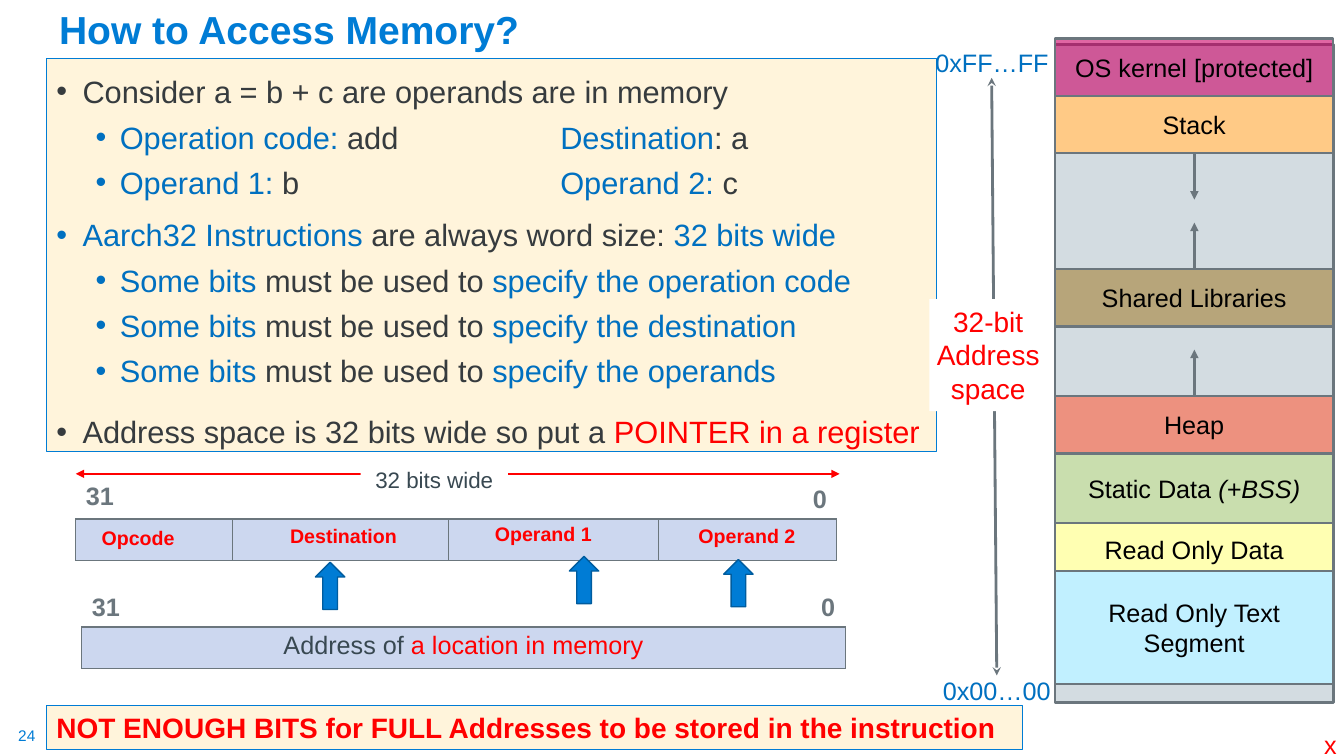
from lxml import etree
from pptx import Presentation
from pptx.dml.color import RGBColor
from pptx.enum.shapes import MSO_CONNECTOR, MSO_SHAPE
from pptx.enum.text import MSO_ANCHOR, MSO_AUTO_SIZE, PP_ALIGN
from pptx.oxml.ns import qn
from pptx.util import Cm, Pt

LEFT, CENTER, RIGHT = PP_ALIGN.LEFT, PP_ALIGN.CENTER, PP_ALIGN.RIGHT
TOP, MIDDLE, BOTTOM = MSO_ANCHOR.TOP, MSO_ANCHOR.MIDDLE, MSO_ANCHOR.BOTTOM
RECTANGLE, UP_ARROW = MSO_SHAPE.RECTANGLE, MSO_SHAPE.UP_ARROW
STRAIGHT, NO_AUTOFIT = MSO_CONNECTOR.STRAIGHT, MSO_AUTO_SIZE.NONE

BLACK = RGBColor(0x00, 0x00, 0x00)
WHITE = RGBColor(0xFF, 0xFF, 0xFF)
RED = RGBColor(0xFF, 0x00, 0x00)
BLUE = RGBColor(0x00, 0x7C, 0xD5)
DARK_BLUE = RGBColor(0x00, 0x5C, 0x9E)
LINK_BLUE = RGBColor(0x00, 0x70, 0xC0)
GREY = RGBColor(0x6B, 0x76, 0x7D)
SLATE = RGBColor(0x38, 0x48, 0x51)
INK = RGBColor(0x36, 0x3B, 0x3E)
CREAM = RGBColor(0xFF, 0xF4, 0xDB)
FIELD_BLUE = RGBColor(0xCC, 0xD7, 0xEF)
FREE_MEMORY = RGBColor(0xD3, 0xDC, 0xE1)
KERNEL_PINK = RGBColor(0xCC, 0x00, 0x66)
STACK_ORANGE = RGBColor(0xFF, 0xCA, 0x86)
LIBRARY_BROWN = RGBColor(0xB7, 0xA5, 0x7A)
HEAP_RED = RGBColor(0xED, 0x91, 0x7F)
STATIC_GREEN = RGBColor(0xC9, 0xDE, 0xAE)
DATA_YELLOW = RGBColor(0xFF, 0xFF, 0xB2)
TEXT_CYAN = RGBColor(0xC1, 0xF0, 0xFF)


def write(para, text, *, size=18, color=BLACK, bold=False, italic=False, align=None):
    """Append formatted text to a paragraph."""
    span = para.add_run()
    span.text = text
    span.font.name = "Arial"
    span.font.size = Pt(size)
    span.font.color.rgb = color
    span.font.bold = bold
    span.font.italic = italic
    if align is not None:
        para.alignment = align


class Page:
    def __init__(self, deck):
        self.page = deck.slides.add_slide(deck.slide_layouts[1])
        self.shapes = self.page.shapes

    def frame(self, box, anchor=TOP, inset=(0.25, 0.13), wrap=True):
        frame = box.text_frame
        frame.auto_size = NO_AUTOFIT
        frame.word_wrap = wrap
        frame.vertical_anchor = anchor
        frame.margin_left = frame.margin_right = Cm(inset[0])
        frame.margin_top = frame.margin_bottom = Cm(inset[1])
        return frame

    def paint(self, box, fill, line=None, width=1.5):
        box.fill.solid()
        box.fill.fore_color.rgb = fill
        if line is None:
            box.line.fill.background()
        else:
            box.line.color.rgb = line
            box.line.width = Pt(width)

    def place(self, box, left, top, width, height):
        box.left, box.top, box.width, box.height = map(Cm, (left, top, width, height))

    def title(self, text, *area):
        box = self.shapes.title
        self.place(box, *area)
        para = self.frame(box, BOTTOM).paragraphs[0]
        para.line_spacing = 0.9
        write(para, text, size=27.9, color=BLUE, bold=True, align=LEFT)

    def body(self, items, *area):
        box = self.page.placeholders[1]
        self.place(box, *area)
        self.paint(box, CREAM, BLUE, 0.75)
        frame = self.frame(box, inset=(0.25, 0.18))
        for index, (level, spacing, before, spans) in enumerate(items):
            para = frame.add_paragraph() if index else frame.paragraphs[0]
            para.level = level
            para.line_spacing = spacing
            para.space_before = Pt(before)
            para.space_after = Pt(0)
            props = para._p.get_or_add_pPr()
            indent, hanging = ((0.66, 0.66), (1.6, 0.61))[level]
            props.set("marL", str(Cm(indent)))
            props.set("indent", str(-Cm(hanging)))
            props.set("defTabSz", str(Cm(2.54)))
            etree.SubElement(props, qn("a:buFont"), typeface="Arial")
            etree.SubElement(props, qn("a:buChar"), char="•")
            for text, color in spans:
                write(para, text, size=22, color=color, align=LEFT)

    def label(self, text, *area, inset=(0.25, 0.13), wrap=True, **style):
        box = self.shapes.add_textbox(*map(Cm, area))
        write(self.frame(box, inset=inset, wrap=wrap).paragraphs[0], text, **style)

    def block(self, spans, *area, fill, line=None, width=1.5, anchor=MIDDLE,
              inset=(0.25, 0.13), shape=RECTANGLE, align=CENTER, **style):
        """Draw a filled shape holding (text, italic) spans."""
        box = self.shapes.add_shape(shape, *map(Cm, area))
        box.shadow.inherit = False
        self.paint(box, fill, line, width)
        para = self.frame(box, anchor, inset).paragraphs[0]
        for text, italic in spans:
            write(para, text, italic=italic, align=align, **style)
        return box

    def arrow(self, *ends, color=GREY, width=2, head=None, tail="triangle"):
        line = self.shapes.add_connector(STRAIGHT, *map(Cm, ends))
        line.line.color.rgb = color
        line.line.width = Pt(width)
        outline = line.line._get_or_add_ln()
        if head:
            etree.SubElement(outline, qn("a:headEnd"), type=head)
        etree.SubElement(outline, qn("a:tailEnd"), type=tail)
        etree.SubElement(line._element.spPr, qn("a:effectLst"))

    def border(self, cell, **sides):
        props = cell._tc.get_or_add_tcPr()
        for side in "LRTB":
            line = etree.SubElement(props, qn("a:ln" + side), w=str(Pt(1)))
            fill = etree.SubElement(line, qn("a:solidFill"))
            etree.SubElement(fill, qn("a:srgbClr"), val=str(sides.get(side, GREY)))

    def register(self, left, top, columns, merges):
        """Draw a bit-number row above a row of register fields."""
        table = self.shapes.add_table(2, len(columns), Cm(left), Cm(top),
                                      Cm(sum(columns)), Cm(2.08)).table
        table.first_row = table.horz_banding = False
        for column, width in zip(table.columns, columns):
            column.width = Cm(width)
        for row in table.rows:
            row.height = Cm(1.04)
        for numbers, field in zip(table.rows[0].cells, table.rows[1].cells):
            self.border(numbers, L=WHITE, T=WHITE, R=WHITE)
            numbers.fill.background()
            self.border(field)
            field.fill.solid()
            field.fill.fore_color.rgb = FIELD_BLUE
        for row, first, last in merges:
            table.cell(row, first).merge(table.cell(row, last))
        return table

    def fill_cell(self, cell, *spans, anchor=TOP, **style):
        cell.vertical_anchor = anchor
        for text, color in spans:
            write(cell.text_frame.paragraphs[0], text, color=color, **style)


def main():
    deck = Presentation()
    deck.slide_width, deck.slide_height = Cm(33.87), Cm(19.05)
    page = Page(deck)

    page.title("How to Access Memory?", 1.24, 0.1, 29.2, 1.37)
    bit_uses = [(1, 1, 6, [("Some bits ", LINK_BLUE), ("must be used to ", INK),
                           ("specify the " + use, LINK_BLUE)])
                for use in ("operation code", "destination", "operands")]
    page.body([
        (0, 1.2, 0, [("Consider a = b + c are operands are in memory", INK)]),
        (1, 1, 6, [("Operation code: ", LINK_BLUE), ("add \t\t", INK),
                   ("Destination", LINK_BLUE), (": a", INK)]),
        (1, 1, 6, [("Operand 1: ", LINK_BLUE), ("b\t\t\t", INK),
                   ("Operand 2: ", LINK_BLUE), ("c", INK)]),
        (0, 1, 11, [("Aarch32 Instructions ", LINK_BLUE),
                    ("are always word size: ", INK), ("32 bits wide", LINK_BLUE)]),
        *bit_uses,
        (0, 1.2, 12, [("Address space is 32 bits wide so put a ", INK),
                      ("POINTER in a register", RED)]),
    ], 1.17, 1.47, 22.43, 9.91)

    address = page.register(2.06, 14.76, [9.62, 9.62], [(1, 0, 1)])
    instruction = page.register(1.91, 12.04, [3.94, 5.46, 0.99, 4.29, 4.5],
                                [(0, 0, 2), (0, 3, 4), (1, 2, 3)])
    for table, low_bit, anchor in ((address, 1, BOTTOM), (instruction, 3, TOP)):
        page.fill_cell(table.cell(0, 0), ("31", GREY), anchor=anchor, bold=True)
        page.fill_cell(table.cell(0, low_bit), ("0", GREY), anchor=BOTTOM,
                       bold=True, align=RIGHT)
    page.fill_cell(address.cell(1, 0), ("Address of ", SLATE),
                   ("a location in memory", RED), align=CENTER)
    for name, left, top in (("Opcode", 2.31, 13.13), ("Destination", 7.06, 13.06),
                            ("Operand 1", 12.22, 13.03), ("Operand 2", 17.35, 13.06)):
        page.label(name, left, top, 3.71, 0.86, size=14, color=RED, bold=True)
    for left, top in ((7.95, 14.17), (14.35, 14.02), (18.24, 14.1)):
        page.block([], left, top, 0.74, 1.19, fill=BLUE, line=DARK_BLUE,
                   width=1, shape=UP_ARROW)
    page.arrow(1.91, 11.94, 21.16, 11.94, color=RED, width=1.5, head="triangle")
    page.block([("32 bits wide", False)], 9.09, 11.61, 3.71, 0.94,
               fill=WHITE, anchor=TOP, size=16, color=SLATE)
    page.block([("NOT ENOUGH BITS for FULL Addresses to be stored in the instruction",
                 False)], 1.17, 17.78, 24.61, 1.12, fill=CREAM, line=BLUE, width=0.75,
               anchor=TOP, align=LEFT, size=20, color=RED, bold=True)

    for text, left, top, width in (("0xFF…FF", 23.22, 1.19, 3.56),
                                   ("0x00…00", 23.47, 17.02, 3.3)):
        page.label(text, left, top, width, 0.76, inset=(0.25, 0),
                   color=LINK_BLUE, align=CENTER)
    page.arrow(24.99, 1.96, 25.12, 17.02, head="stealth", tail="stealth")
    page.block([("32-bit Address space", False)], 23.42, 7.54, 2.97, 2.82, fill=WHITE,
               anchor=TOP, inset=(0.13, 0.13), size=20, color=RED)

    column_left, column_width = 26.59, 7.01
    page.block([], column_left, 1.12, column_width, 16.59,
               fill=FREE_MEMORY, line=GREY, width=2)
    kernel, *_ = [
        page.block(spans, column_left, top, column_width, height, fill=fill, line=GREY)
        for spans, top, height, fill in (
            ([("OS kernel [protected]", False)], 0.97, 1.45, KERNEL_PINK),
            ([("Stack", False)], 2.41, 1.45, STACK_ORANGE),
            ([("Shared Libraries", False)], 6.78, 1.45, LIBRARY_BROWN),
            ([("Heap", False)], 9.98, 1.45, HEAP_RED),
            ([("Static Data", False), (" (+BSS)", True)], 11.43, 1.75, STATIC_GREEN),
            ([("Read Only Data", False)], 13.18, 1.32, DATA_YELLOW),
            ([("Read Only Text Segment", False)], 14.4, 2.84, TEXT_CYAN))]
    pink = kernel._element.spPr.find(qn("a:solidFill")).find(qn("a:srgbClr"))
    etree.SubElement(pink, qn("a:alpha"), val="60000")
    for start, end in ((3.86, 5.03), (6.78, 5.61), (9.98, 8.81)):
        page.arrow(30.1, start, 30.1, end)

    page.label("24", 0.46, 18.31, 0.48, 0.48, inset=(0, 0), wrap=False,
               size=11, color=BLUE)
    page.label("x", 33.12, 18.24, 0.73, 0.8, wrap=False, color=RED)
    deck.save("out.pptx")


if __name__ == "__main__":
    main()
